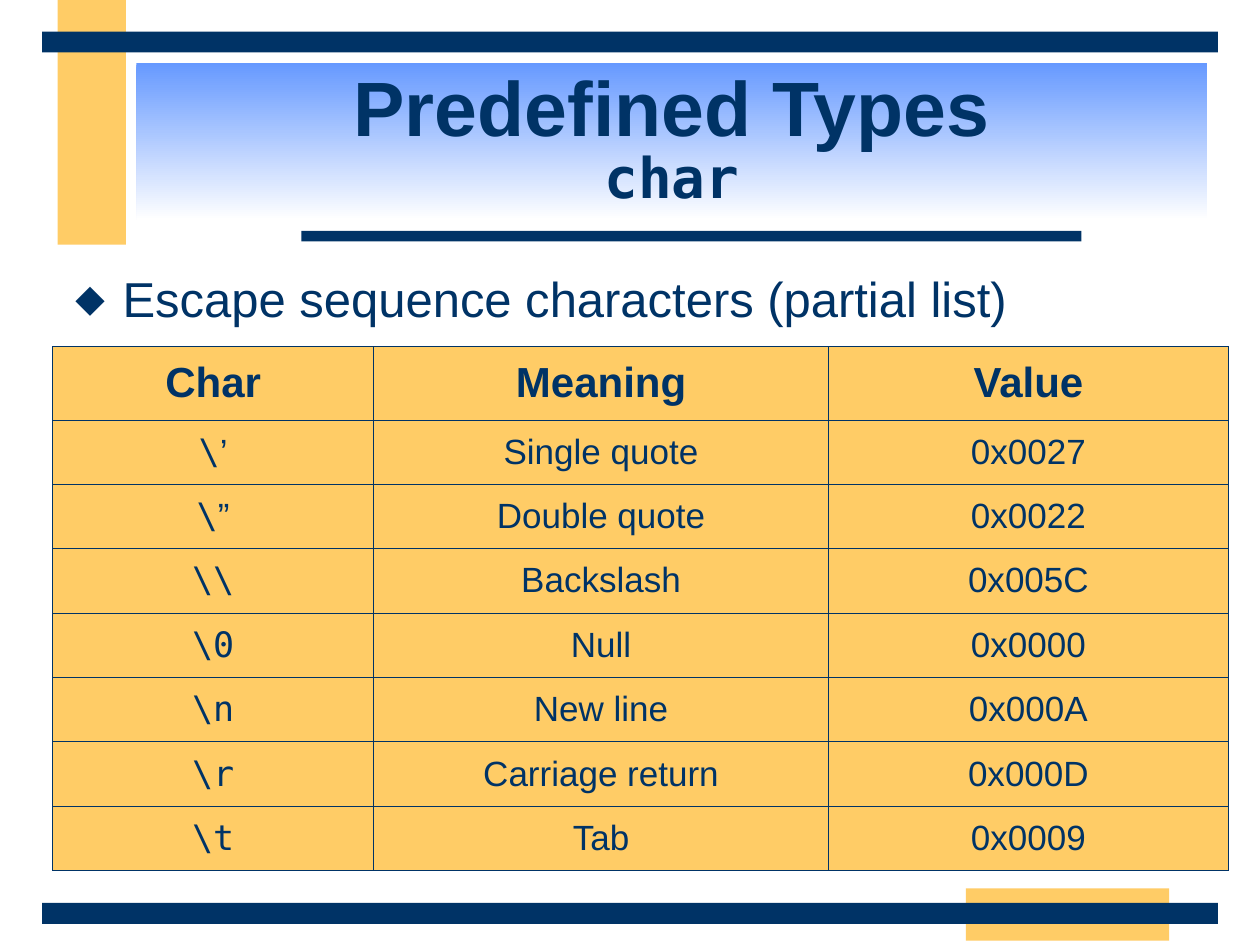
import pptx
import pptx.dml.color
import pptx.enum.shapes
import pptx.enum.text
import pptx.util
from lxml import etree

NAVY = "003366"
GOLD = "FFCC66"
SANS = "Arial"
MONO = "DejaVu Sans Mono"
CENTER = pptx.enum.text.PP_ALIGN.CENTER
MIDDLE = pptx.enum.text.MSO_ANCHOR.MIDDLE
RECTANGLE = pptx.enum.shapes.MSO_SHAPE.RECTANGLE
NAMESPACE = "{http://schemas.openxmlformats.org/drawingml/2006/main}"


def color(value):
    return pptx.dml.color.RGBColor.from_string(value)


def write_text(paragraph, text, size=20, font=SANS, bold=False, align=CENTER):
    paragraph.alignment = align
    run = paragraph.add_run()
    run.text = text
    run.font.size = pptx.util.Pt(size)
    run.font.name = font
    run.font.bold = bold
    run.font.color.rgb = color(NAVY)


presentation = pptx.Presentation()
presentation.slide_width = pptx.util.Inches(10)
presentation.slide_height = pptx.util.Inches(7.5)
slide = presentation.slides.add_slide(presentation.slide_layouts[6])

unit = presentation.slide_width / 120

bars = [
    (5.5, 0, 6.5, 23.3, GOLD),
    (92, 84.6, 19.35, 5, GOLD),
    (28.7, 22, 74.3, 1, NAVY),
    (4, 86, 112, 2, NAVY),
    (4, 3, 112, 2, NAVY),
]
for *box, fill in bars:
    bar = slide.shapes.add_shape(RECTANGLE, *[int(length * unit) for length in box])
    bar.shadow.inherit = False
    bar.fill.solid()
    bar.fill.fore_color.rgb = color(fill)
    bar.line.fill.background()

title = slide.shapes.add_shape(
    RECTANGLE, *[int(length * unit) for length in (13, 6, 102, 15)]
)
title.shadow.inherit = False
title.line.fill.background()
title.fill.gradient()
title.fill.gradient_angle = 270
for stop, position, value in zip(title.fill.gradient_stops, (0, 1), ("6699FF", "FFFFFF")):
    stop.position = position
    stop.color.rgb = color(value)
title.text_frame.word_wrap = True
title.text_frame.vertical_anchor = MIDDLE
paragraph = title.text_frame.paragraphs[0]
paragraph.line_spacing = 0.85
write_text(paragraph, "Predefined Types", size=44, bold=True)
paragraph.add_line_break()
write_text(paragraph, "char", size=32, font=MONO, bold=True)

body = slide.shapes.add_textbox(*[int(length * unit) for length in (6, 25, 108, 7)])
body.text_frame.word_wrap = True
paragraph = body.text_frame.paragraphs[0]
properties = paragraph._p.get_or_add_pPr()
properties.set("marL", str(int(4.5 * unit)))
properties.set("indent", str(int(-4.5 * unit)))
bullet_color = etree.SubElement(properties, NAMESPACE + "buClr")
etree.SubElement(bullet_color, NAMESPACE + "srgbClr", val=NAVY)
etree.SubElement(properties, NAMESPACE + "buFont", typeface=MONO)
etree.SubElement(properties, NAMESPACE + "buChar", char="◆")
write_text(
    paragraph,
    "Escape sequence characters (partial list)",
    size=28,
    align=pptx.enum.text.PP_ALIGN.LEFT,
)

escapes = [
    ("Char", "Meaning", "Value"),
    ("\\’", "Single quote", "0x0027"),
    ("\\”", "Double quote", "0x0022"),
    ("\\\\", "Backslash", "0x005C"),
    ("\\0", "Null", "0x0000"),
    ("\\n", "New line", "0x000A"),
    ("\\r", "Carriage return", "0x000D"),
    ("\\t", "Tab", "0x0009"),
]
column_widths = [30.6, 43.3, 38.1]
row_heights = [7] + [6.13] * 7
table = slide.shapes.add_table(
    len(row_heights),
    len(column_widths),
    int(5 * unit),
    int(33 * unit),
    int(sum(column_widths) * unit),
    int(sum(row_heights) * unit),
).table
for column, width in zip(table.columns, column_widths):
    column.width = int(width * unit)
for row, height in zip(table.rows, row_heights):
    row.height = int(height * unit)

for row_index, texts in enumerate(escapes):
    for column_index, text in enumerate(texts):
        cell = table.cell(row_index, column_index)
        cell.vertical_anchor = MIDDLE
        cell_properties = cell._tc.get_or_add_tcPr()
        for side in ("lnL", "lnR", "lnT", "lnB"):
            border = etree.SubElement(
                cell_properties, NAMESPACE + side, w=str(pptx.util.Pt(0.45))
            )
            border_fill = etree.SubElement(border, NAMESPACE + "solidFill")
            etree.SubElement(border_fill, NAMESPACE + "srgbClr", val=NAVY)
        cell.fill.solid()
        cell.fill.fore_color.rgb = color(GOLD)
        paragraph = cell.text_frame.paragraphs[0]
        if row_index == 0:
            write_text(paragraph, text, size=24, bold=True)
        elif column_index == 0 and text.isascii():
            write_text(paragraph, text, font=MONO)
        elif column_index == 0:
            write_text(paragraph, text[0], font=MONO)
            write_text(paragraph, text[1])
        else:
            write_text(paragraph, text)

presentation.save("out.pptx")
